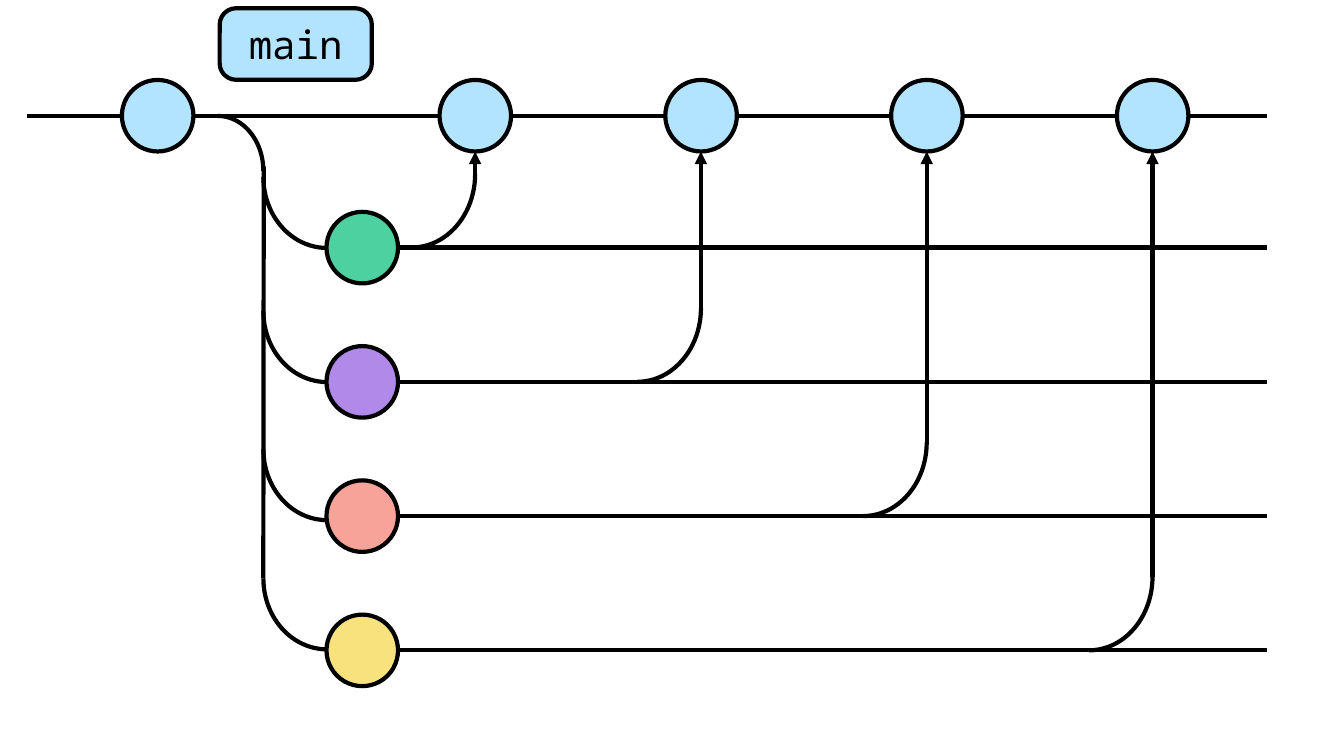
from dataclasses import dataclass

import lxml.etree
import pptx
import pptx.dml.color
import pptx.enum.shapes
import pptx.enum.text
import pptx.oxml.ns
import pptx.util

Pt = pptx.util.Pt
qn = pptx.oxml.ns.qn
KIND = pptx.enum.shapes.MSO_SHAPE


@dataclass(frozen=True)
class Theme:
    ink: str = "000000"
    main: str = "B3E4FF"
    rows: tuple = ("4DD1A1", "B189E8", "F7A399", "F7E27E")
    font: str = "Noto Sans Mono"
    size: float = 28
    line: float = 3


@dataclass(frozen=True)
class Box:
    left: float
    top: float
    width: float
    height: float

    @property
    def right(self):
        return self.left + self.width

    @property
    def base(self):
        return self.top + self.height


THEME = Theme()
NODE = 51.1  # diameter of a commit
STEP = 161.28  # distance between merges
COUNT = len(THEME.rows)


def color(code):
    return pptx.dml.color.RGBColor.from_string(code)


def pen(item):
    item.line.color.rgb = color(THEME.ink)
    item.line.width = Pt(THEME.line)


def shape(shapes, kind, box, fill=None):
    item = shapes.add_shape(
        kind, Pt(box.left), Pt(box.top), Pt(box.width), Pt(box.height))
    item.shadow.inherit = False
    pen(item)
    if fill:
        item.fill.solid()
        item.fill.fore_color.rgb = color(fill)
    else:
        item.fill.background()
    return item


def node(shapes, x, y, fill):
    """Draw a commit centred on x, y."""
    box = Box(x - NODE / 2, y - NODE / 2, NODE, NODE)
    shape(shapes, KIND.OVAL, box, fill)


def line(shapes, x1, y1, x2, y2, arrow=False):
    item = shapes.add_connector(
        pptx.enum.shapes.MSO_CONNECTOR.STRAIGHT, Pt(x1), Pt(y1), Pt(x2), Pt(y2))
    pen(item)
    props = item.element.spPr
    if arrow:
        lxml.etree.SubElement(
            props.find(qn("a:ln")), qn("a:tailEnd"), type="triangle")
    lxml.etree.SubElement(props, qn("a:effectLst"))


def arc(shapes, box, turn=0):
    shape(shapes, KIND.ARC, box).rotation = turn


def label(shapes, box, text):
    item = shape(shapes, KIND.ROUNDED_RECTANGLE, box, THEME.main)
    item.adjustments[0] = 0.23
    frame = item.text_frame
    frame.vertical_anchor = pptx.enum.text.MSO_ANCHOR.MIDDLE
    para = frame.paragraphs[0]
    para.text = text
    para.alignment = pptx.enum.text.PP_ALIGN.CENTER
    para.font.name = THEME.font
    para.font.size = Pt(THEME.size)
    para.font.color.rgb = color(THEME.ink)


def trunk(shapes, box):
    """Draw the main line with its label, first commit and merge commits."""
    y = box.base - NODE / 2
    merge = box.left + 320.1
    spots = [box.left + 93.2] + [merge + i * STEP for i in range(COUNT)]
    start = box.left
    for x in spots:
        line(shapes, start, y, x - NODE / 2, y)
        start = x + NODE / 2
    line(shapes, start, y, box.right, y)
    for x in spots:
        node(shapes, x, y, THEME.main)
    label(shapes, Box(box.left + 137.5, box.top, 108.7, NODE), "main")


def fork(shapes, box):
    """Draw the stem that leaves the trunk and curves into each branch."""
    parts = shapes.add_group_shape().shapes
    wide, high = 2 * box.width, 101.5
    arc(parts, Box(box.left - 65, box.top, 65, 78.5))
    line(parts, box.left + 0.3, box.top + 36, box.left, box.base - high / 2)
    for drop in (94.3, 190.1, 288.7, box.height):
        curve = Box(box.left, box.top + drop - high, wide, high)
        arc(parts, curve, 180)


def branches(shapes, box):
    """Draw each branch from its commit, and the arrow that merges it."""
    wide, high = 90.7, 105.1
    pitch = (box.height - NODE) / (COUNT - 1)
    for i, fill in enumerate(THEME.rows):
        y = box.top + NODE / 2 + i * pitch
        x = box.left + 106.2 + i * STEP
        line(shapes, box.left + NODE, y, box.right, y)
        # The quarter turn swaps the sides of the arc about its centre.
        mid = y - high / 2
        arc(shapes, Box(x - (wide + high) / 2, mid - wide / 2, high, wide), 90)
        line(shapes, x, mid, x, box.top - 43, arrow=True)
        node(shapes, box.left + NODE / 2, y, fill)


def main():
    deck = pptx.Presentation()
    deck.slide_width, deck.slide_height = Pt(960), Pt(540)
    shapes = deck.slides.add_slide(deck.slide_layouts[6]).shapes
    trunk(shapes, Box(19.4, 5.9, 885.6, 102.3))
    fork(shapes, Box(188.1, 82.8, 45.35, 381))
    branches(shapes, Box(233.2, 151.3, 671.8, 338.8))
    deck.save("out.pptx")


if __name__ == "__main__":
    main()
